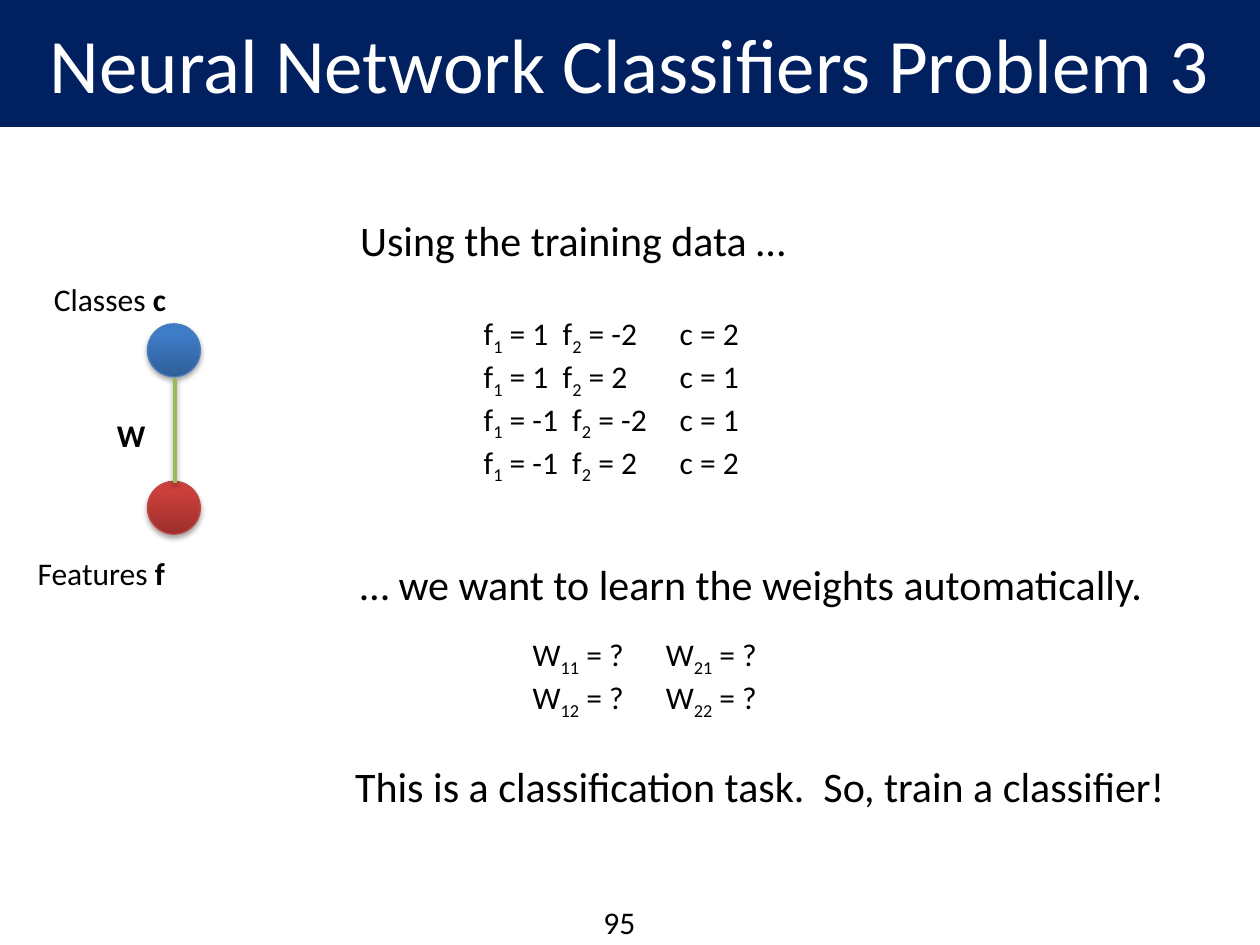
from dataclasses import dataclass

from lxml import etree
from pptx import Presentation
from pptx.dml.color import RGBColor
from pptx.enum.shapes import MSO_CONNECTOR, MSO_SHAPE
from pptx.enum.text import MSO_ANCHOR, MSO_AUTO_SIZE, PP_ALIGN
from pptx.oxml.ns import qn
from pptx.util import Inches, Pt

ELLIPSE = MSO_SHAPE.OVAL
STRAIGHT = MSO_CONNECTOR.STRAIGHT
MIDDLE = MSO_ANCHOR.MIDDLE
CENTER = PP_ALIGN.CENTER
FIT_SHAPE = MSO_AUTO_SIZE.SHAPE_TO_FIT_TEXT
NO_FIT = MSO_AUTO_SIZE.NONE

PLAIN, BOLD, SUBSCRIPT = "plain", "bold", "subscript"


@dataclass(frozen=True)
class Theme:
    """Colours and type sizes of the deck."""
    font: str = "Calibri"
    title_size: int = 44
    statement_size: int = 24
    label_size: int = 18
    band: str = "002060"
    title_text: str = "FFFFFF"
    text: str = "000000"
    class_node: tuple = ("2F5F99", "3D7CC7", "4B7EBC")
    feature_node: tuple = ("9C2F2D", "CB3E3A", "BF4C48")
    link: str = "9BBB59"
    shadow: str = "000000"


def color(value):
    """Turn a hex string into a colour."""
    return RGBColor.from_string(value)


class SlideBuilder:
    """Adds styled elements to the current slide."""

    def __init__(self, slide, theme):
        """Keep the slide and the theme."""
        self.slide = slide
        self.theme = theme

    def add_spans(self, para, spans, size, ink):
        """Add styled runs to a paragraph."""
        for text, style in spans:
            span = para.add_run()
            span.text = text
            span.font.name = self.theme.font
            span.font.size = Pt(size)
            span.font.color.rgb = color(ink)
            if style == BOLD:
                span.font.bold = True
            elif style == SUBSCRIPT:
                span.font._element.set("baseline", "-25000")

    def cast_shadow(self, shape, opacity, distance):
        """Give a shape a soft shadow straight below it."""
        effects = etree.SubElement(shape._element.spPr, qn("a:effectLst"))
        shadow = etree.SubElement(
            effects, qn("a:outerShdw"), blurRad=str(Pt(3.1)),
            dist=str(Pt(distance)), dir="5400000", rotWithShape="0")
        tint = etree.SubElement(shadow, qn("a:srgbClr"), val=self.theme.shadow)
        etree.SubElement(tint, qn("a:alpha"), val=str(opacity * 1000))

    def title(self, text):
        """Turn the title placeholder into a full-width band."""
        band = self.slide.shapes.title
        band.left, band.top = Inches(0), Inches(0)
        band.width, band.height = Inches(10), Inches(1)
        band.fill.solid()
        band.fill.fore_color.rgb = color(self.theme.band)
        band.line.color.rgb = color(self.theme.band)
        band.line.width = Pt(0.75)
        frame = band.text_frame
        frame.auto_size = NO_FIT
        frame.vertical_anchor = MIDDLE
        para = frame.paragraphs[0]
        para.alignment = CENTER
        self.add_spans(para, [(text, PLAIN)], self.theme.title_size, self.theme.title_text)

    def text(self, left, top, width, height, lines, size, wrap=False):
        """Add a text box with one paragraph per line."""
        box = self.slide.shapes.add_textbox(
            Inches(left), Inches(top), Inches(width), Inches(height))
        frame = box.text_frame
        frame.word_wrap = wrap
        frame.auto_size = FIT_SHAPE
        for index, spans in enumerate(lines):
            para = frame.add_paragraph() if index else frame.paragraphs[0]
            self.add_spans(para, spans, size, self.theme.text)

    def label(self, left, top, width, spans):
        """Add a one-line label."""
        self.text(left, top, width, 0.4, [spans], self.theme.label_size)

    def statement(self, left, top, text):
        """Add a large sentence."""
        self.text(left, top, 6.9, 0.5, [[(text, PLAIN)]],
                  self.theme.statement_size, wrap=True)

    def node(self, left, top, colors):
        """Add a round network node."""
        dark, light, edge = colors
        node = self.slide.shapes.add_shape(
            ELLIPSE, Inches(left), Inches(top), Inches(0.42), Inches(0.42))
        node.fill.gradient()
        node.fill.gradient_angle = 90
        for stop, shade, position in zip(node.fill.gradient_stops, (dark, light), (0, 0.8)):
            stop.color.rgb = color(shade)
            stop.position = position
        node.line.color.rgb = color(edge)
        node.line.width = Pt(0.75)
        self.cast_shadow(node, 35, 1.8)

    def link(self, x, top, bottom):
        """Add a vertical line between two nodes."""
        link = self.slide.shapes.add_connector(
            STRAIGHT, Inches(x), Inches(top), Inches(x), Inches(bottom))
        link.line.color.rgb = color(self.theme.link)
        link.line.width = Pt(2)
        self.cast_shadow(link, 38, 1.6)


def sample_line(first, second, label):
    """Return the spans of one training sample."""
    return [("f", PLAIN), ("1", SUBSCRIPT), (f" = {first}  f", PLAIN),
            ("2", SUBSCRIPT), (f" = {second}\t c = {label}", PLAIN)]


def weight_line(feature):
    """Return the spans of the unknown weights of one feature."""
    return [("W", PLAIN), (f"1{feature}", SUBSCRIPT), (" = ?\t W", PLAIN),
            (f"2{feature}", SUBSCRIPT), (" = ?", PLAIN)]


def main():
    """Build and save the deck."""
    deck = Presentation()
    deck.slide_width, deck.slide_height = Inches(10), Inches(7.5)
    theme = Theme()
    page = SlideBuilder(deck.slides.add_slide(deck.slide_layouts[5]), theme)

    page.title("Neural Network Classifiers Problem 3")
    page.label(4.69, 7.12, 0.45, [("95", PLAIN)])

    page.node(1.17, 2.57, theme.class_node)
    page.node(1.17, 3.82, theme.feature_node)
    page.link(1.39, 3, 3.83)
    page.label(0.2, 4.35, 1.22, [("Features ", PLAIN), ("f", BOLD)])
    page.label(0.33, 2.17, 1.1, [("Classes ", PLAIN), ("c", BOLD)])
    page.label(0.83, 3.25, 0.43, [("W", BOLD)])

    samples = [(1, -2, 2), (1, 2, 1), (-1, -2, 1), (-1, 2, 2)]
    page.text(3.74, 2.44, 2.81, 1.31,
              [sample_line(*sample) for sample in samples], theme.label_size)
    page.text(4.13, 4.99, 2.04, 0.71,
              [weight_line(feature) for feature in (1, 2)], theme.label_size)

    page.statement(2.76, 1.65, "Using the training data …")
    page.statement(2.76, 4.38, "… we want to learn the weights automatically.")
    page.statement(2.72, 5.99, "This is a classification task.  So, train a classifier!")

    deck.save("out.pptx")


if __name__ == "__main__":
    main()
